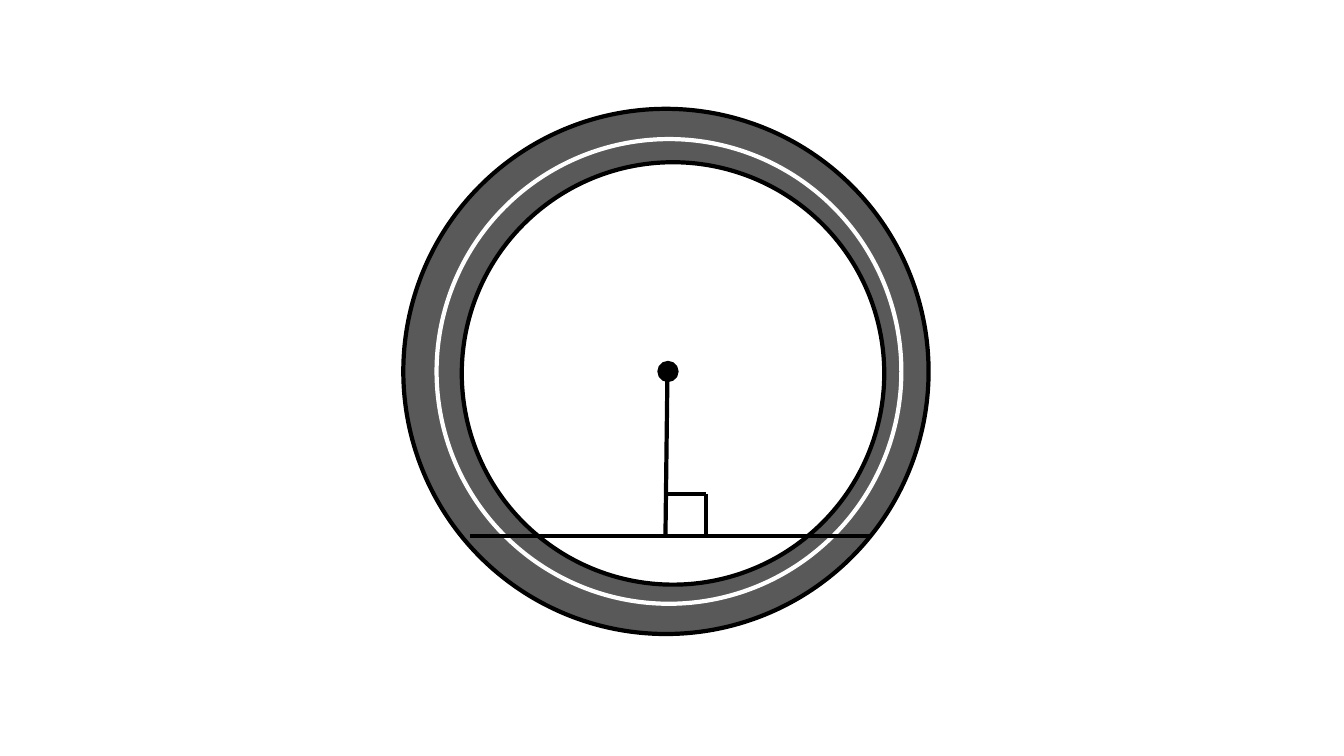
from pptx import Presentation
from pptx.dml.color import RGBColor
from pptx.enum import shapes
from pptx.oxml.ns import qn
from pptx.util import Pt
from lxml import etree

PX = 9144  # EMU per px, 100 px to the inch

THEME = {
    "ink": RGBColor.from_string("000000"),
    "tyre": RGBColor.from_string("595959"),
    "paper": RGBColor.from_string("FFFFFF"),
    "stroke": Pt(3),
    "thin_stroke": Pt(1.5),
}

presentation = Presentation()
presentation.slide_width = 1333 * PX
presentation.slide_height = 750 * PX
slide = presentation.slides.add_slide(presentation.slide_layouts[6])
figure = slide.shapes.add_group_shape()


def add_circle(left, top, diameter, fill, line, stroke="stroke"):
    circle = figure.shapes.add_shape(
        shapes.MSO_SHAPE.OVAL, left * PX, top * PX, diameter * PX, diameter * PX)
    circle.shadow.inherit = False
    circle.fill.solid()
    circle.fill.fore_color.rgb = THEME[fill]
    circle.line.color.rgb = THEME[line]
    circle.line.width = THEME[stroke]


# Rings, from the outside in
for ring in [
    (400, 108, 521, "tyre", "ink"),
    (433, 138, 461, "tyre", "paper"),
    (458, 161, 419, "paper", "ink"),
]:
    add_circle(*ring)

# Chord, perpendicular from the centre, and right-angle mark
chord_y, foot_x = 532, 660
mark_x, mark_y = 700, 490
for ends in [
    (466, chord_y, 863, chord_y),
    (662, 371, foot_x, chord_y),
    (mark_x, mark_y, mark_x, chord_y),
    (foot_x, mark_y, mark_x, mark_y),
]:
    line = figure.shapes.add_connector(
        shapes.MSO_CONNECTOR.STRAIGHT, *(value * PX for value in ends))
    line.line.color.rgb = THEME["ink"]
    line.line.width = THEME["stroke"]
    etree.SubElement(line._element.spPr, qn("a:effectLst"))

# Centre point
add_circle(653, 359, 19, "ink", "ink", "thin_stroke")

presentation.save("out.pptx")
